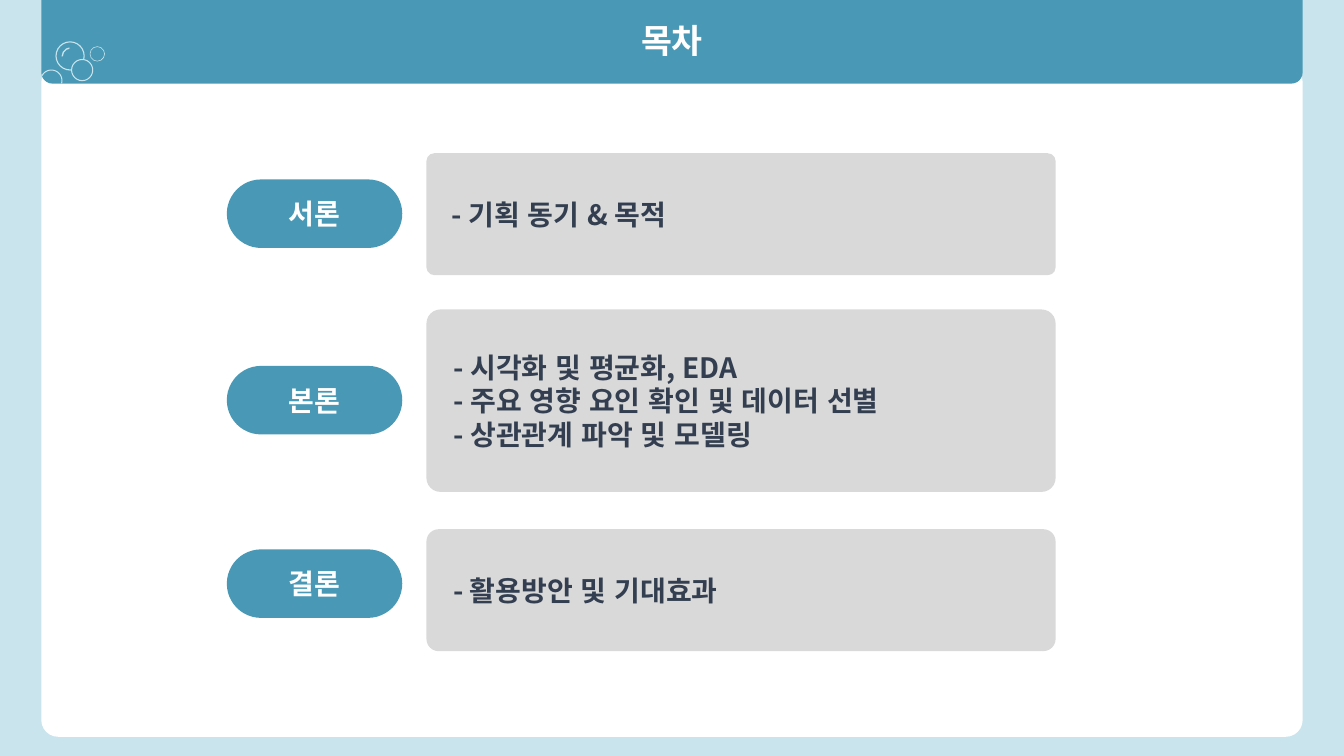
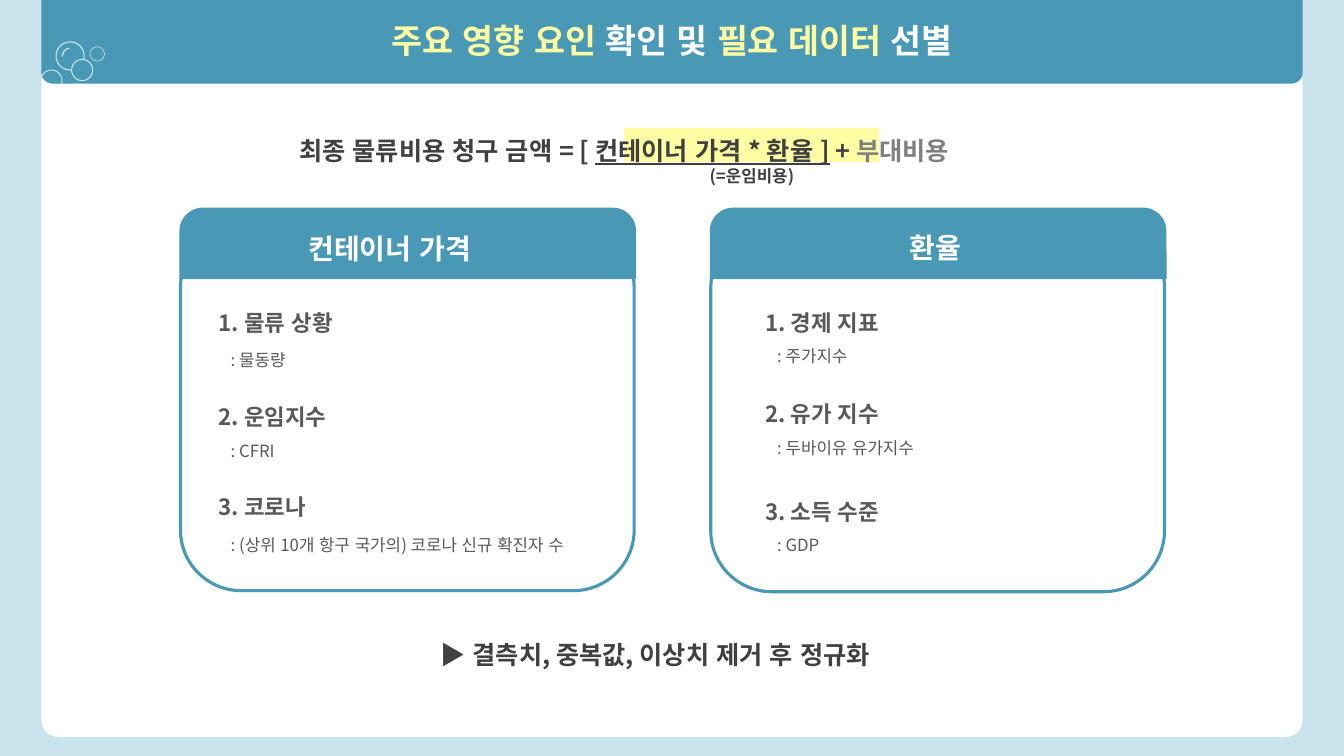
import math
from dataclasses import dataclass
from typing import NamedTuple, Optional

from lxml import etree
from pptx import Presentation
from pptx.dml.color import RGBColor
from pptx.enum import shapes, text
from pptx.oxml import ns
from pptx.util import Pt

PX = 9144
KIND = shapes.MSO_SHAPE
ALIGN = text.PP_ALIGN
ANCHOR = text.MSO_ANCHOR


@dataclass(frozen=True)
class Theme:
    font: str = "Noto Sans CJK KR"
    lang: str = "ko-KR"
    back: str = "C9E4ED"
    main: str = "4999B6"
    white: str = "FFFFFF"
    yellow: str = "FEFDA3"
    panel: str = "D9D9D9"
    navy: str = "333F50"
    dark: str = "404040"
    body: str = "595959"
    muted: str = "808080"
    title: int = 24
    label: int = 20
    lead: int = 18
    item: int = 16
    note: int = 12


T = Theme()


class Box(NamedTuple):
    x: int
    y: int
    w: int
    h: int


class Run(NamedTuple):
    text: str
    size: int
    color: str
    bold: bool = True
    underline: bool = False


class Para(NamedTuple):
    runs: list[Run]
    align: ALIGN = ALIGN.LEFT
    spacing: float = 1.0
    indent: int = 0
    before: int = 0


class Section(NamedTuple):
    label: str
    pill_y: int
    panel_y: int
    panel_h: int
    corner: float
    lines: list[str]


class Item(NamedTuple):
    y: int
    name: str
    detail: str
    before: int = 0


class Card(NamedTuple):
    x: int
    body_h: int
    title: str
    title_x: int
    title_y: int
    items_x: int
    items: list[Item]


def emu(box: Box) -> list[int]:
    return [v * PX for v in box]


def write(tf, paras: list[Para], anchor=ANCHOR.TOP) -> None:
    tf.word_wrap = True
    tf.vertical_anchor = anchor
    for i, para in enumerate(paras):
        p = tf.add_paragraph() if i else tf.paragraphs[0]
        fmt = {"alignment": para.align, "line_spacing": para.spacing,
               "space_before": Pt(para.before)}
        for key, value in fmt.items():
            setattr(p, key, value)
        if para.indent:
            p._p.get_or_add_pPr().set("marL", str(para.indent * PX))
        for run in para.runs:
            r = p.add_run()
            r.text = run.text
            fmt = {"name": T.font, "size": Pt(run.size), "bold": run.bold,
                   "underline": run.underline}
            for key, value in fmt.items():
                setattr(r.font, key, value)
            r.font.color.rgb = RGBColor.from_string(run.color)
            props = r._r.get_or_add_rPr()
            props.set("lang", T.lang)
            etree.SubElement(props, ns.qn("a:ea")).set("typeface", T.font)


def paint(sp, fill: str, line: Optional[str] = None, width: float = 0.75) -> None:
    sp.shadow.inherit = False
    sp.fill.solid()
    sp.fill.fore_color.rgb = RGBColor.from_string(fill)
    if line:
        sp.line.color.rgb = RGBColor.from_string(line)
        sp.line.width = Pt(width)
    else:
        sp.line.fill.background()


def add_shape(s, kind, box: Box, fill: str, adj: tuple[float, ...] = (),
              line: Optional[str] = None, width: float = 0.75,
              paras: Optional[list[Para]] = None) -> None:
    sp = s.shapes.add_shape(kind, *emu(box))
    paint(sp, fill, line, width)
    for i, value in enumerate(adj):
        sp.adjustments[i] = value
    if paras:
        write(sp.text_frame, paras, ANCHOR.MIDDLE)


def add_text(s, box: Box, paras: list[Para]) -> None:
    write(s.shapes.add_textbox(*emu(box)).text_frame, paras)


def add_cut_ring(s, cx: int, cy: int, outer: int, inner: int) -> None:
    sweep = range(15, -154, -6)
    rim = [(outer, a) for a in sweep] + [(inner, a) for a in reversed(sweep)]
    points = [(round((cx + r * math.cos(math.radians(a))) * PX),
               round((cy + r * math.sin(math.radians(a))) * PX)) for r, a in rim]
    builder = s.shapes.build_freeform(*points[0], scale=1.0)
    builder.add_line_segments(points[1:], close=True)
    paint(builder.convert_to_shape(), T.back)


def add_frame(prs, title: list[Run]):
    s = prs.slides.add_slide(prs.slide_layouts[6])
    s.background.fill.solid()
    s.background.fill.fore_color.rgb = RGBColor.from_string(T.back)
    add_shape(s, KIND.ROUNDED_RECTANGLE, Box(41, 65, 1251, 666), T.white, (0.025,))
    add_shape(s, KIND.ROUND_2_SAME_RECTANGLE, Box(41, 0, 1251, 83), T.main,
              (0, 0.134), paras=[Para(title, ALIGN.CENTER)])
    add_shape(s, KIND.DONUT, Box(55, 41, 29, 29), T.back, (0.038,))
    add_shape(s, KIND.BLOCK_ARC, Box(61, 47, 18, 18), T.back, (108, 157.41, 0.076))
    add_shape(s, KIND.OVAL, Box(71, 59, 21, 21), T.main, line=T.back)
    add_cut_ring(s, 51, 80, 11, 10)
    add_shape(s, KIND.DONUT, Box(89, 46, 15, 15), T.back, (0.038,))
    return s


def add_section(s, sec: Section) -> None:
    label = Para([Run(sec.label, T.label, T.white)], ALIGN.CENTER)
    add_shape(s, KIND.ROUNDED_RECTANGLE, Box(225, sec.pill_y, 174, 68), T.main,
              (0.5,), paras=[label])
    lines = [Para([Run(f"- {line}", T.label, T.navy)], ALIGN.JUSTIFY, indent=13)
             for line in sec.lines]
    add_shape(s, KIND.ROUNDED_RECTANGLE, Box(423, sec.panel_y, 624, sec.panel_h),
              T.panel, (sec.corner,), paras=lines)


def add_card(s, card: Card) -> None:
    add_shape(s, KIND.ROUNDED_RECTANGLE, Box(card.x + 1, 225, 450, card.body_h),
              T.white, line=T.main, width=2.25)
    add_shape(s, KIND.ROUND_2_SAME_RECTANGLE, Box(card.x, 206, 453, 71), T.main,
              (0.328, 0))
    add_text(s, Box(card.title_x, card.title_y, 216, 38),
             [Para([Run(card.title, T.label, T.white)])])
    for i, item in enumerate(card.items, 1):
        add_text(s, Box(card.items_x, item.y, 400, 77), [
            Para([Run(f"{i}. {item.name}", T.item, T.body)], spacing=1.5),
            Para([Run(f": {item.detail}", T.note, T.body, False)], spacing=1.5,
                 indent=12, before=item.before)])


SECTIONS = [
    Section("서론", 178, 152, 121, 0.065, ["기획 동기 & 목적"]),
    Section("본론", 363, 307, 181, 0.077, [
        "시각화 및 평균화, EDA",
        "주요 영향 요인 확인 및 데이터 선별",
        "상관관계 파악 및 모델링"]),
    Section("결론", 545, 525, 121, 0.1, ["활용방안 및 기대효과"]),
]

CARDS = [
    Card(178, 361, "컨테이너 가격", 296, 225, 207, [
        Item(288, "물류 상황", "물동량", 3),
        Item(382, "운임지수", "CFRI"),
        Item(471, "코로나", "(상위 10개 항구 국가의) 코로나 신규 확진자 수", 3)]),
    Card(704, 362, "환율", 892, 224, 749, [
        Item(288, "경제 지표", "주가지수"),
        Item(379, "유가 지수", "두바이유 유가지수"),
        Item(476, "소득 수준", "GDP")]),
]


def build_contents(prs) -> None:
    s = add_frame(prs, [Run("목차", T.title, T.white)])
    for sec in SECTIONS:
        add_section(s, sec)


def build_factors(prs) -> None:
    s = add_frame(prs, [
        Run("주요 영향 요인 ", T.title, T.yellow),
        Run("확인 및 ", T.title, T.white),
        Run("필요 데이터 ", T.title, T.yellow),
        Run("선별", T.title, T.white)])
    add_shape(s, KIND.RECTANGLE, Box(619, 127, 253, 34), T.yellow)
    for card in CARDS:
        add_card(s, card)
    formula = [
        Run("최종 물류비용 청구 금액 = [ ", T.lead, T.dark),
        Run("컨테이너 가격 * 환율 ]", T.lead, T.dark, underline=True),
        Run(" + ", T.lead, T.dark),
        Run("부대비용", T.lead, T.muted)]
    closing = [Run("▶ 결측치, 중복값, 이상치 제거 후 정규화", T.lead, T.dark)]
    freight = [Run("(=운임비용)", T.note, T.dark)]
    for box, runs in ((Box(287, 114, 826, 50), formula),
                      (Box(427, 614, 537, 50), closing),
                      (Box(694, 150, 537, 36), freight)):
        add_text(s, box, [Para(runs, spacing=1.5)])


def main() -> None:
    prs = Presentation()
    prs.slide_width, prs.slide_height = 1333 * PX, 750 * PX
    build_contents(prs)
    build_factors(prs)
    prs.save("out.pptx")


if __name__ == "__main__":
    main()
